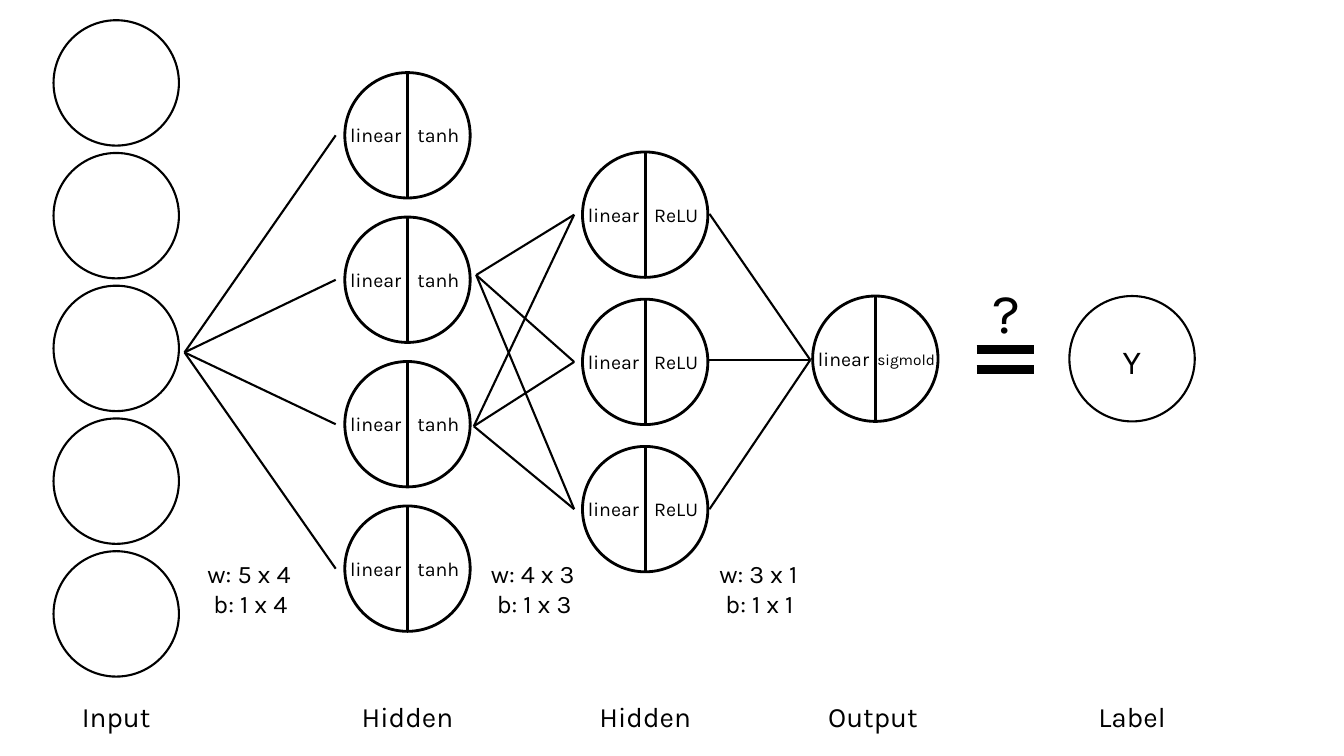
from lxml.etree import SubElement
from pptx import Presentation
from pptx.dml.color import RGBColor
from pptx.enum.shapes import MSO_CONNECTOR, MSO_SHAPE
from pptx.enum.text import MSO_AUTO_SIZE, PP_ALIGN
from pptx.oxml.ns import qn
from pptx.util import Cm, Pt

COLORS = {"ink": "000000", "paper": "FFFFFF"}
DIAMETER = 3.16
RADIUS = DIAMETER / 2


class NetworkSlide:
    """Draws the parts of a neural network diagram on one slide, in centimetres."""

    font = "Karla"
    thin, bold, heavy = 1.5, 2, 6.25

    def __init__(self, deck):
        self.page = deck.slides.add_slide(deck.slide_layouts[6])
        fill = self.page.background.fill
        fill.solid()
        fill.fore_color.rgb = RGBColor.from_string(COLORS["paper"])

    def ink(self, line, weight):
        line.color.rgb = RGBColor.from_string(COLORS["ink"])
        line.width = Pt(weight)

    def circle(self, left, top, weight=thin):
        shape = self.page.shapes.add_shape(
            MSO_SHAPE.OVAL, Cm(left), Cm(top), Cm(DIAMETER), Cm(DIAMETER))
        shape.shadow.inherit = False
        shape.fill.background()
        self.ink(shape.line, weight)

    def line(self, start, end, weight=thin):
        points = [Cm(value) for value in (*start, *end)]
        connector = self.page.shapes.add_connector(MSO_CONNECTOR.STRAIGHT, *points)
        self.ink(connector.line, weight)
        SubElement(connector._element.spPr, qn("a:effectLst"))

    def text(self, left, top, width, height, size, *paragraphs, align=PP_ALIGN.CENTER):
        box = self.page.shapes.add_textbox(Cm(left), Cm(top), Cm(width), Cm(height))
        frame = box.text_frame
        frame.word_wrap = True
        frame.auto_size = MSO_AUTO_SIZE.SHAPE_TO_FIT_TEXT
        style = {"name": self.font, "size": Pt(size)}
        for index, words in enumerate(paragraphs):
            para = frame.add_paragraph() if index else frame.paragraphs[0]
            para.alignment = align
            span = para.add_run()
            span.text = words
            for name, value in style.items():
                setattr(span.font, name, value)
            span.font.color.rgb = RGBColor.from_string(COLORS["ink"])

    def neuron(self, left, top, activation, size=14):
        self.circle(left, top, self.bold)
        middle = left + RADIUS
        self.line((middle, top), (middle, top + DIAMETER), self.bold)
        self.text(left - 0.22, top + 1.15, 2, 0.86, 14, "linear")
        shift = 0.08 if size < 14 else 0
        self.text(left + 1.36, top + 1.15 + shift, 2, 0.86 - shift, size, activation)

    def caption(self, left, words):
        self.text(left, 17.5, DIAMETER, 1.12, 20, words)

    def dimensions(self, left, inputs, outputs):
        self.text(left, 13.95, DIAMETER, 1.8, 18,
                  f"w: {inputs} x {outputs}", f" b: 1 x {outputs}", align=PP_ALIGN.LEFT)


def main():
    deck = Presentation()
    deck.slide_width, deck.slide_height = Cm(33.87), Cm(19.05)
    slide = NetworkSlide(deck)

    input_left, tanh_left, relu_left, output_left, label_left = 1.35, 8.69, 14.68, 20.48, 26.95
    tanh_tops = [1.83 + 3.64 * row for row in range(4)]
    relu_tops = [3.83 + 3.71 * row for row in range(3)]
    output_top = 7.46

    for row in range(5):
        slide.circle(input_left, 0.51 + 3.345 * row)
    for top in tanh_tops:
        slide.neuron(tanh_left, top, "tanh")
    for top in relu_tops:
        slide.neuron(relu_left, top, "ReLU")
    slide.neuron(output_left, output_top, "sigmold", 11)

    for top in tanh_tops:
        slide.line((4.65, 8.88), (8.46, top + RADIUS))
    for source in ((12, 6.93), (11.94, 10.74)):
        for top in relu_tops:
            slide.line(source, (14.47, top + RADIUS))
    for height in (5.39, 9.07, 12.83):
        slide.line((17.88, height), (20.42, 9.07))

    slide.circle(label_left, output_top)
    slide.text(27.94, 8.46, 1.17, 1.27, 24, "Y")
    for height in (8.81, 9.32):
        slide.line((24.61, height), (26.06, height), slide.heavy)
    slide.text(24.77, 6.86, 1.22, 1.96, 40, "?", align=PP_ALIGN.LEFT)

    captions = {input_left: "Input", tanh_left: "Hidden", relu_left: "Hidden",
                output_left - 0.06: "Output", label_left: "Label"}
    for left, words in captions.items():
        slide.caption(left, words)
    for left, inputs, outputs in ((4.98, 5, 4), (12.12, 4, 3), (17.88, 3, 1)):
        slide.dimensions(left, inputs, outputs)

    deck.save("out.pptx")


if __name__ == "__main__":
    main()
